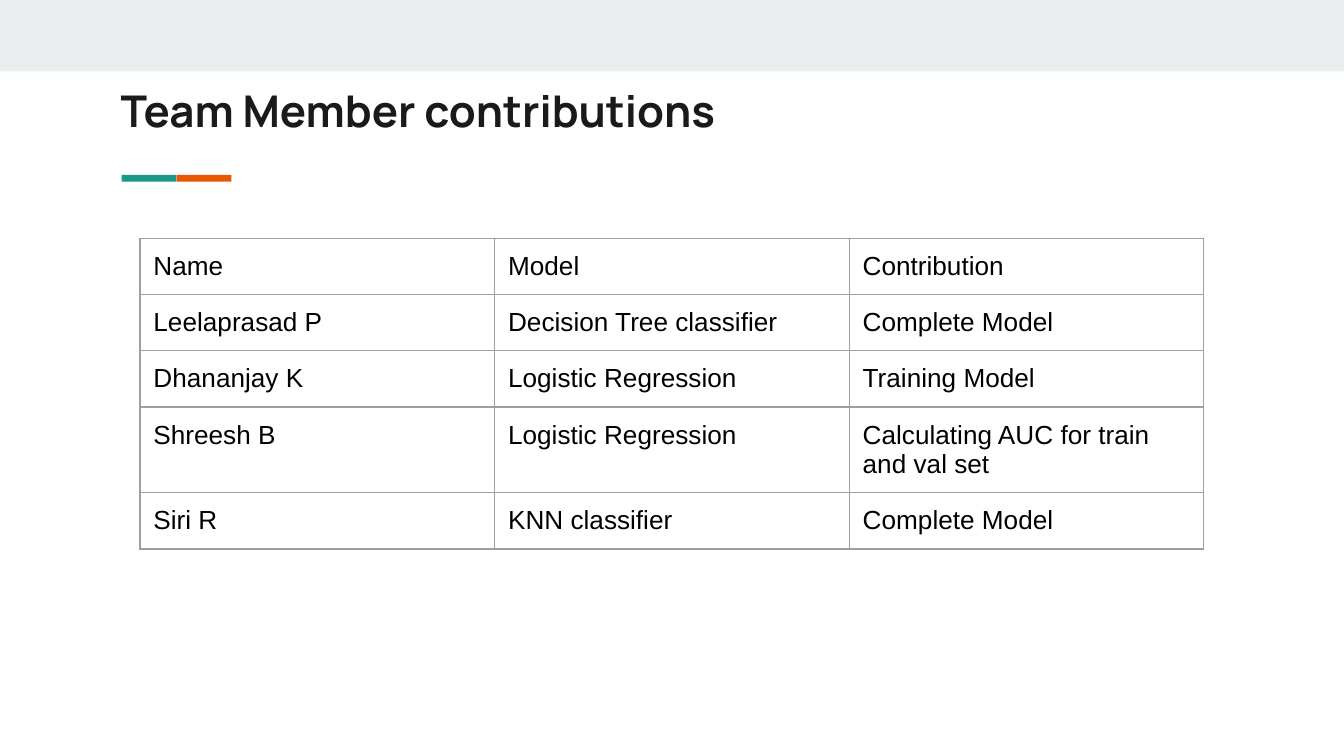
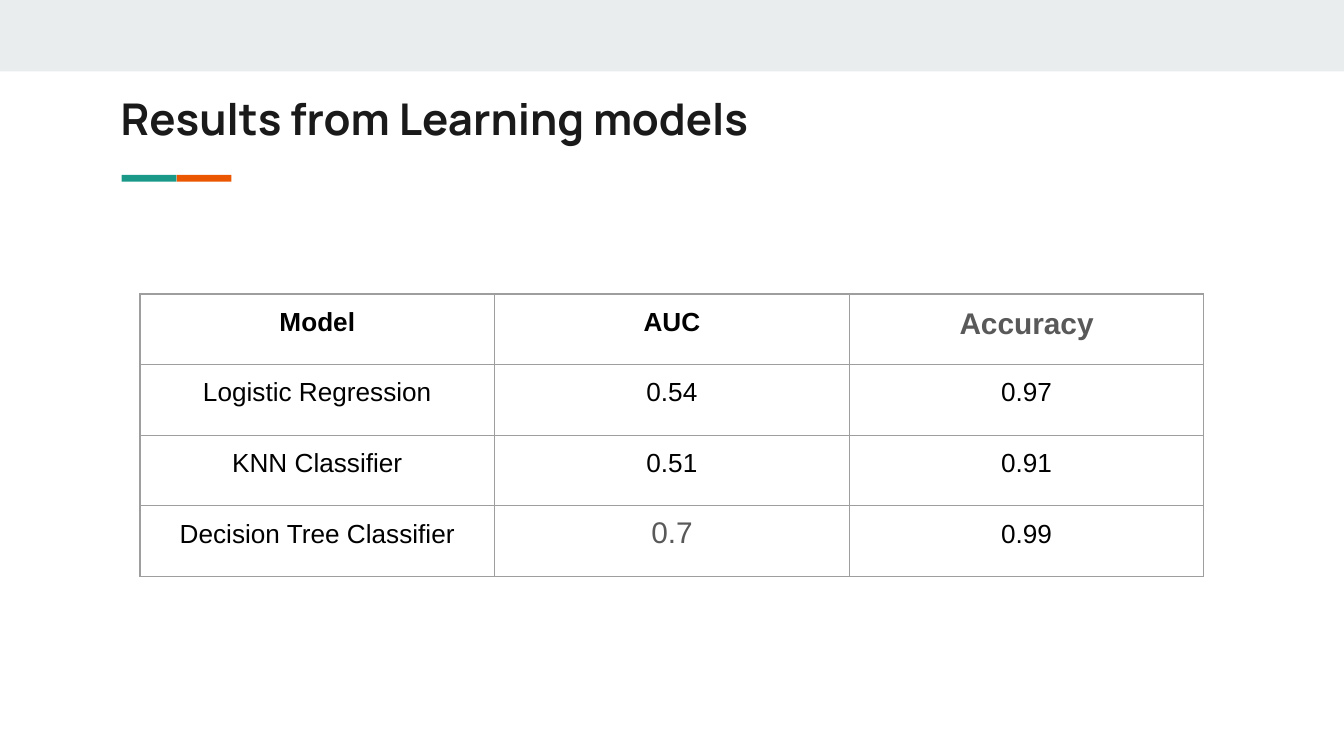
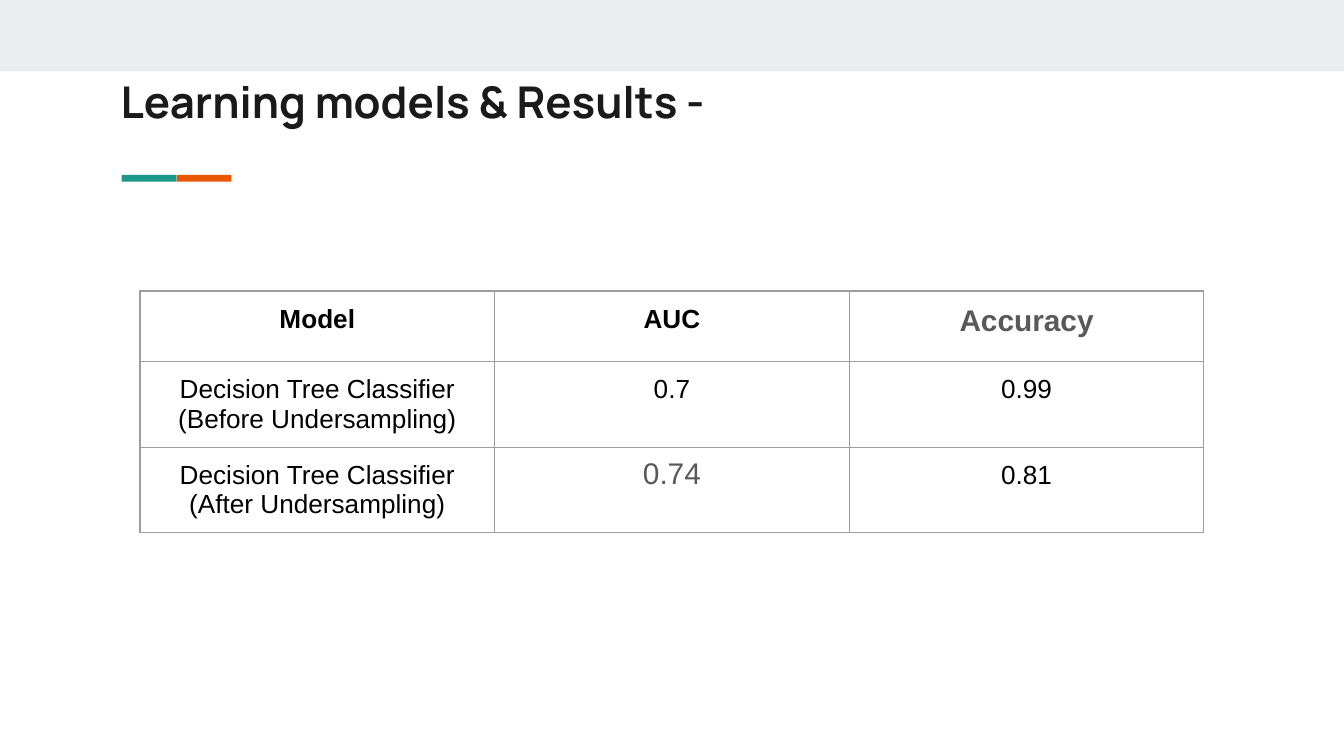
"""Build three slides on model results and team contributions."""
from dataclasses import dataclass

from lxml.etree import SubElement
from pptx import Presentation
from pptx.dml.color import RGBColor
from pptx.enum.shapes import MSO_SHAPE
from pptx.enum.text import MSO_ANCHOR, MSO_AUTO_SIZE, PP_ALIGN
from pptx.oxml.ns import qn
from pptx.presentation import Presentation as Deck
from pptx.shapes.shapetree import GroupShapes, SlideShapes
from pptx.slide import Slide
from pptx.table import _Cell
from pptx.text.text import TextFrame
from pptx.util import Pt


@dataclass(frozen=True)
class Theme:
    band: str = "E9EDEE"
    teal: str = "1A9988"
    orange: str = "EB5600"
    title: str = "1A1A1A"
    body: str = "000000"
    highlight: str = "595959"
    border: str = "9E9E9E"
    title_font: str = "Manrope"
    body_font: str = "Arial"
    title_size: float = 23.4
    body_size: float = 14
    highlight_size: float = 16
    border_width: float = 0.75
    inset: float = 7.2


@dataclass(frozen=True)
class Bar:
    left: float
    top: float
    width: float
    height: float
    color: str
    rotation: float = 0


@dataclass(frozen=True)
class TableSlide:
    title: str
    title_top: float
    table_top: float
    row_height: float
    rows: tuple[tuple[str, ...], ...]
    is_results: bool = True


THEME = Theme()
SLIDE_WIDTH, SLIDE_HEIGHT = 720, 405
TITLE_LEFT, TITLE_WIDTH, TITLE_HEIGHT = 57.4, 605.5, 42.5
TABLE_LEFT, COLUMN_WIDTH = 75, 190
RESULT_HEADER = ("Model", "AUC", "Accuracy")

BAND = Bar(0, 0, SLIDE_WIDTH, 38.3, THEME.band)
ACCENT_LEFT, ACCENT_TOP, ACCENT_WIDTH, ACCENT_HEIGHT = 79.2, 57.4, 30.76, 76.2
DASH_THICKNESS, DASH_LENGTH = 1.98, 41.9
ACCENT_DASHES = tuple(
    Bar(left, 0, DASH_THICKNESS, DASH_LENGTH, color, rotation=270)
    for left, color in ((DASH_LENGTH, THEME.orange), (0, THEME.teal))
)

SLIDES = (
    TableSlide("Team Member contributions", 37.7, 127.6, 30, (
        ("Name", "Model", "Contribution"),
        ("Leelaprasad P", "Decision Tree classifier", "Complete Model"),
        ("Dhananjay K", "Logistic Regression", "Training Model"),
        ("Shreesh B", "Logistic Regression", "Calculating AUC for train and val set"),
        ("Siri R", "KNN classifier", "Complete Model"),
    ), is_results=False),
    TableSlide("Results from Learning models", 41.8, 157.5, 37.85, (
        RESULT_HEADER,
        ("Logistic Regression", "0.54", "0.97"),
        ("KNN Classifier", "0.51", "0.91"),
        ("Decision Tree Classifier", "0.7", "0.99"),
    )),
    TableSlide("Learning models & Results -", 33.1, 155.9, 37.8, (
        RESULT_HEADER,
        ("Decision Tree Classifier\n(Before Undersampling)", "0.7", "0.99"),
        ("Decision Tree Classifier\n(After Undersampling)", "0.74", "0.81"),
    )),
)


def write_text(frame: TextFrame, text: str, *, font: str = THEME.body_font,
               size: float = THEME.body_size, color: str = THEME.body,
               bold: bool = False, align: PP_ALIGN = PP_ALIGN.LEFT,
               line_spacing: float = 1.0, before: float = 0,
               after: float = 0) -> None:
    frame.text = text
    frame.word_wrap = True
    for paragraph in frame.paragraphs:
        paragraph.alignment = align
        paragraph.line_spacing = line_spacing
        paragraph.space_before = Pt(before)
        paragraph.space_after = Pt(after)
        for run in paragraph.runs:
            run.font.name = font
            run.font.size = Pt(size)
            run.font.bold = bold
            run.font.color.rgb = RGBColor.from_string(color)


def draw_bar(shapes: SlideShapes | GroupShapes, bar: Bar) -> None:
    shape = shapes.add_shape(MSO_SHAPE.RECTANGLE, Pt(bar.left), Pt(bar.top),
                             Pt(bar.width), Pt(bar.height))
    shape.rotation = bar.rotation
    shape.shadow.inherit = False
    shape.fill.solid()
    shape.fill.fore_color.rgb = RGBColor.from_string(bar.color)
    shape.line.fill.background()


def draw_accent(slide: Slide) -> None:
    accent = slide.shapes.add_group_shape()
    for dash in ACCENT_DASHES:
        draw_bar(accent.shapes, dash)
    accent.left, accent.top = Pt(ACCENT_LEFT), Pt(ACCENT_TOP)
    accent.width, accent.height = Pt(ACCENT_WIDTH), Pt(ACCENT_HEIGHT)


def set_insets(target: TextFrame | _Cell) -> None:
    for side in ("left", "right", "top", "bottom"):
        setattr(target, f"margin_{side}", Pt(THEME.inset))


def place_title(slide: Slide, text: str, top: float) -> None:
    title = slide.shapes.title
    title.left, title.top = Pt(TITLE_LEFT), Pt(top)
    title.width, title.height = Pt(TITLE_WIDTH), Pt(TITLE_HEIGHT)
    frame = title.text_frame
    frame.auto_size = MSO_AUTO_SIZE.NONE
    frame.vertical_anchor = MSO_ANCHOR.MIDDLE
    set_insets(frame)
    write_text(frame, text, font=THEME.title_font, size=THEME.title_size,
               color=THEME.title, bold=True)


def style_cell(cell: _Cell) -> None:
    set_insets(cell)
    properties = cell._tc.get_or_add_tcPr()
    for edge in ("a:lnL", "a:lnR", "a:lnT", "a:lnB"):
        line = SubElement(properties, qn(edge), w=str(Pt(THEME.border_width)))
        fill = SubElement(line, qn("a:solidFill"))
        SubElement(fill, qn("a:srgbClr"), val=THEME.border)
    cell.fill.background()


def cell_format(content: TableSlide, row: int, column: int) -> dict:
    if not content.is_results:
        return {}
    style = {"align": PP_ALIGN.CENTER, "bold": row == 0}
    best_auc = (len(content.rows) - 1, 1)
    if (row, column) in ((0, 2), best_auc):
        style |= {"size": THEME.highlight_size, "color": THEME.highlight}
    if (row, column) == best_auc:
        style |= {"line_spacing": 0.9, "before": 4, "after": 2}
    return style


def draw_table(slide: Slide, content: TableSlide) -> None:
    row_count, column_count = len(content.rows), len(content.rows[0])
    table = slide.shapes.add_table(
        row_count, column_count, Pt(TABLE_LEFT), Pt(content.table_top),
        Pt(COLUMN_WIDTH * column_count), Pt(content.row_height * row_count)).table
    table.first_row = table.horz_banding = False
    for column in table.columns:
        column.width = Pt(COLUMN_WIDTH)
    for row, texts in enumerate(content.rows):
        table.rows[row].height = Pt(content.row_height)
        for column, text in enumerate(texts):
            cell = table.cell(row, column)
            style_cell(cell)
            write_text(cell.text_frame, text, **cell_format(content, row, column))


def build_slide(deck: Deck, content: TableSlide) -> None:
    slide = deck.slides.add_slide(deck.slide_layouts.get_by_name("Title Only"))
    draw_bar(slide.shapes, BAND)
    draw_accent(slide)
    place_title(slide, content.title, content.title_top)
    draw_table(slide, content)


def main() -> None:
    deck = Presentation()
    deck.slide_width, deck.slide_height = Pt(SLIDE_WIDTH), Pt(SLIDE_HEIGHT)
    for content in SLIDES:
        build_slide(deck, content)
    deck.save("out.pptx")


if __name__ == "__main__":
    main()
